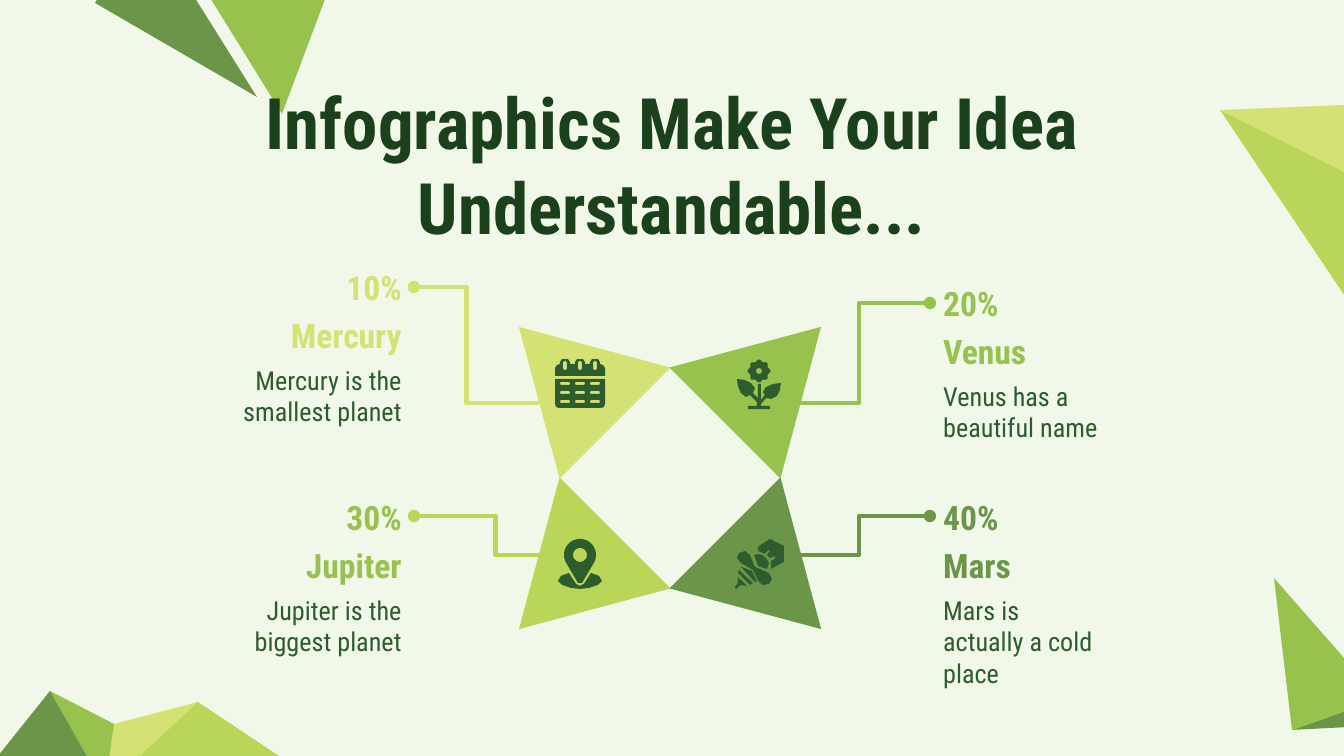
import math

from lxml import etree
from pptx import Presentation
from pptx.dml.color import RGBColor
from pptx.enum.shapes import MSO_CONNECTOR, MSO_SHAPE
from pptx.enum.text import MSO_ANCHOR, MSO_AUTO_SIZE, PP_ALIGN
from pptx.oxml.ns import qn
from pptx.util import Pt

PX = 914400 / 134.4
FONT = "Roboto Condensed"
ELBOW, TRIANGLE = MSO_CONNECTOR.ELBOW, MSO_SHAPE.ISOSCELES_TRIANGLE
LEFT, RIGHT, CENTER = PP_ALIGN.LEFT, PP_ALIGN.RIGHT, PP_ALIGN.CENTER

COLORS = {
    "background": "F2F8E9", "title": "1A411B", "body": "2D5C2E",
    "pale": "D4E273", "lime": "B9D658", "leaf": "96C24D", "moss": "6B964A",
}

TITLE = "Infographics Make Your Idea Understandable..."

# Share, name, description, text colour, shape colour, side (-1 left, 1 right),
# row (-1 top, 1 bottom), label top, elbow bend, connector start and end
PLANETS = [
    ("10%", "Mercury", "Mercury is the smallest planet ", "pale", "pale",
     -1, -1, 254, 0.42, (414, 287), (539, 403)),
    ("20%", "Venus", "Venus has a beautiful name", "leaf", "leaf",
     1, -1, 270, 0.5, (930, 303), (788, 403)),
    ("30%", "Jupiter", "Jupiter is the biggest planet", "leaf", "lime",
     -1, 1, 484, 0.5, (414, 516), (577, 555)),
    ("40%", "Mars", "Mars is actually a cold place", "moss", "moss",
     1, 1, 484, 0.5, (930, 516), (788, 555)),
]
# Width, height, offset from the label top, size, bold
LABEL_ROWS = [(126, 64, 0, 18, True), (202, 64, 48, 18, True), (185, 85, 97, 14, False)]
LABEL_EDGES = {-1: 415, 1: 930}

STAR_CENTER, STAR_OFFSET, STAR_TRIANGLE = (670, 478), 103, (157, 136)

CORNER_FACETS = [
    ("pale", [(114, 724), (105, 788), (198, 702)]),
    ("lime", [(105, 788), (324, 786), (198, 702)]),
    ("moss", [(1351, 727), (1380, 699), (1292, 730)]),
    ("leaf", [(1292, 730), (1380, 699), (1274, 578)]),
    ("lime", [(1371, 335), (1391, 195), (1220, 110)]),
    ("pale", [(1391, 195), (1345, 105), (1220, 110)]),
    ("leaf", [(114, 724), (105, 788), (50, 691)]),
    ("moss", [(-26, 786), (105, 788), (50, 691)]),
    ("leaf", [(366, -110), (175, -59), (282, 114)]),
    ("moss", [(148, -77), (95, 3), (257, 97)]),
]

PIN_BASE = [(569, 573), (561, 576), (558, 581), (562, 585), (571, 588), (580, 589),
            (589, 588), (598, 585), (602, 581), (599, 576), (591, 573), (584, 584),
            (580, 586), (576, 584)]
FLOWER_LEAVES = [(737, 379), (738, 386), (741, 393), (746, 397), (750, 395), (757, 402),
                 (757, 406), (748, 406), (748, 409), (770, 409), (770, 406), (761, 406),
                 (761, 404), (766, 398), (771, 399), (777, 396), (780, 390), (781, 383),
                 (773, 384), (766, 387), (763, 392), (765, 395), (761, 400), (761, 384),
                 (758, 384), (758, 398), (753, 393), (755, 388), (751, 383), (745, 380)]
BEE_PARTS = [
    [(745, 551), (739, 553), (737, 558), (741, 563), (753, 570), (759, 582), (763, 585),
     (769, 584), (772, 579), (769, 573), (755, 567), (750, 555)],
    [(758, 554), (754, 555), (758, 566), (767, 569), (769, 563), (766, 558), (762, 555)],
    [(770, 539), (759, 546), (758, 548), (758, 551), (765, 554), (768, 550), (770, 551),
     (767, 555), (770, 558), (775, 556), (775, 559), (771, 561), (771, 569), (784, 562),
     (784, 546)],
    [(742, 567), (741, 567), (755, 582), (757, 581), (752, 571)],
    [(738, 577), (738, 583), (735, 587), (736, 589), (741, 585), (747, 586)],
    [(739, 570), (738, 573), (750, 585), (753, 583)],
]


def px(*values):
    return [round(value * PX) for value in values]


def rgb(name):
    return RGBColor.from_string(COLORS[name])


def rounded(x, y, width, height, radius):
    """Outline of a rounded box; a circle when radius is half of both sides."""
    points = []
    for step in range(32):
        angle = (step + 0.5) * math.tau / 32
        cos, sin = math.cos(angle), math.sin(angle)
        points.append((x + width / 2 + math.copysign(width / 2 - radius, cos) + radius * cos,
                       y + height / 2 + math.copysign(height / 2 - radius, sin) + radius * sin))
    return points


def icon_outlines():
    """List of shapes, each a list of contours; later contours are holes."""
    columns = (560, 575, 590)
    days = [rounded(x, y, 10, 3, 1.5) for x in columns for y in (382, 391, 400)]
    page = [(555, 379), (555, 404), (556, 407), (559, 408), (601, 408), (604, 407),
            (605, 404), (605, 379)]
    header = [(555, 376), (555, 368), (557, 365), (560, 364)]
    for x in columns:
        header += [(x, 364), (x, 362), (x + 2, 359), (x + 8, 359), (x + 10, 362), (x + 10, 364)]
    header += [(603, 365), (605, 368), (605, 376)]
    rings = [rounded(x + 3, 361, 4, 9, 2) for x in columns]

    turns = [math.radians(angle) for angle in range(150, 391, 10)]
    pin = [(580 + 16 * math.cos(t), 555 + 16 * math.sin(t)) for t in turns]
    pin += [(582, 583), (578, 583)]

    petals = []
    for step in range(64):
        angle = step * math.tau / 64
        radius = 10.5 + math.cos(8 * angle)
        petals.append((759 + radius * math.cos(angle), 371 + radius * math.sin(angle)))

    return [[page, *days], [header, *rings], [pin, rounded(573, 548, 14, 14, 7)], [PIN_BASE],
            [petals, rounded(756, 368, 6, 6, 3)], [FLOWER_LEAVES], *[[part] for part in BEE_PARTS]]


def paint(shape, color):
    shape.shadow.inherit = False
    shape.fill.solid()
    shape.fill.fore_color.rgb = rgb(color)
    shape.line.fill.background()


def add_outline(slide, contours, color):
    builder = slide.shapes.build_freeform(*px(*contours[0][0]), scale=1.0)
    for number, contour in enumerate(contours):
        if number:
            builder.move_to(*px(*contour[0]))
        builder.add_line_segments([px(*point) for point in contour[1:]], close=True)
    paint(builder.convert_to_shape(), color)


def write(shape, text, size, color, bold, alignment):
    frame = shape.text_frame
    frame.word_wrap = True
    frame.auto_size = MSO_AUTO_SIZE.NONE
    frame.vertical_anchor = MSO_ANCHOR.TOP
    frame.margin_left = frame.margin_right = frame.margin_top = frame.margin_bottom = Pt(7.2)
    frame.text = text
    paragraph = frame.paragraphs[0]
    paragraph.alignment = alignment
    font = paragraph.font
    font.name, font.size, font.bold = FONT, Pt(size), bold
    font.color.rgb = rgb(color)


def add_dotted_elbow(slide, start, end, bend, color):
    connector = slide.shapes.add_connector(ELBOW, *px(*start, *end))
    connector.line.color.rgb = rgb(color)
    connector.line.width = Pt(2.25)
    properties = connector._element.spPr
    etree.SubElement(properties.find(qn("a:ln")), qn("a:headEnd"), type="oval")
    etree.SubElement(properties, qn("a:effectLst"))
    guides = properties.find(qn("a:prstGeom")).find(qn("a:avLst"))
    etree.SubElement(guides, qn("a:gd"), name="adj1", fmla=f"val {round(bend * 100000)}")


def add_star_point(slide, side, row, color):
    width, height = STAR_TRIANGLE
    x, y = STAR_CENTER[0] + side * STAR_OFFSET, STAR_CENTER[1] + row * STAR_OFFSET
    triangle = slide.shapes.add_shape(
        TRIANGLE, *px(x - width / 2, y - height / 2, width, height))
    triangle.rotation = (90 + row * 45) * side % 360
    paint(triangle, color)


def main():
    presentation = Presentation()
    presentation.slide_width, presentation.slide_height = px(1344, 756)
    slide = presentation.slides.add_slide(presentation.slide_layouts[5])
    slide.background.fill.solid()
    slide.background.fill.fore_color.rgb = rgb("background")

    for color, points in CORNER_FACETS:
        add_outline(slide, [points], color)

    title = slide.shapes.title
    title.left, title.top, title.width, title.height = px(105, 65, 1134, 108)
    write(title, TITLE, 38, "title", True, CENTER)
    slide.shapes._spTree.append(title._element)  # in front of the corner facets

    for share, name, description, text_color, color, side, row, top, bend, start, end in PLANETS:
        for text, (width, height, offset, size, bold) in zip((share, name, description), LABEL_ROWS):
            left = LABEL_EDGES[side] - (width if side < 0 else 0)
            box = slide.shapes.add_textbox(*px(left, top + offset, width, height))
            write(box, text, size, text_color if bold else "body", bold,
                  RIGHT if side < 0 else LEFT)
        add_star_point(slide, side, row, color)
        add_dotted_elbow(slide, start, end, bend, color)

    for contours in icon_outlines():
        add_outline(slide, contours, "body")

    presentation.save("out.pptx")


if __name__ == "__main__":
    main()
